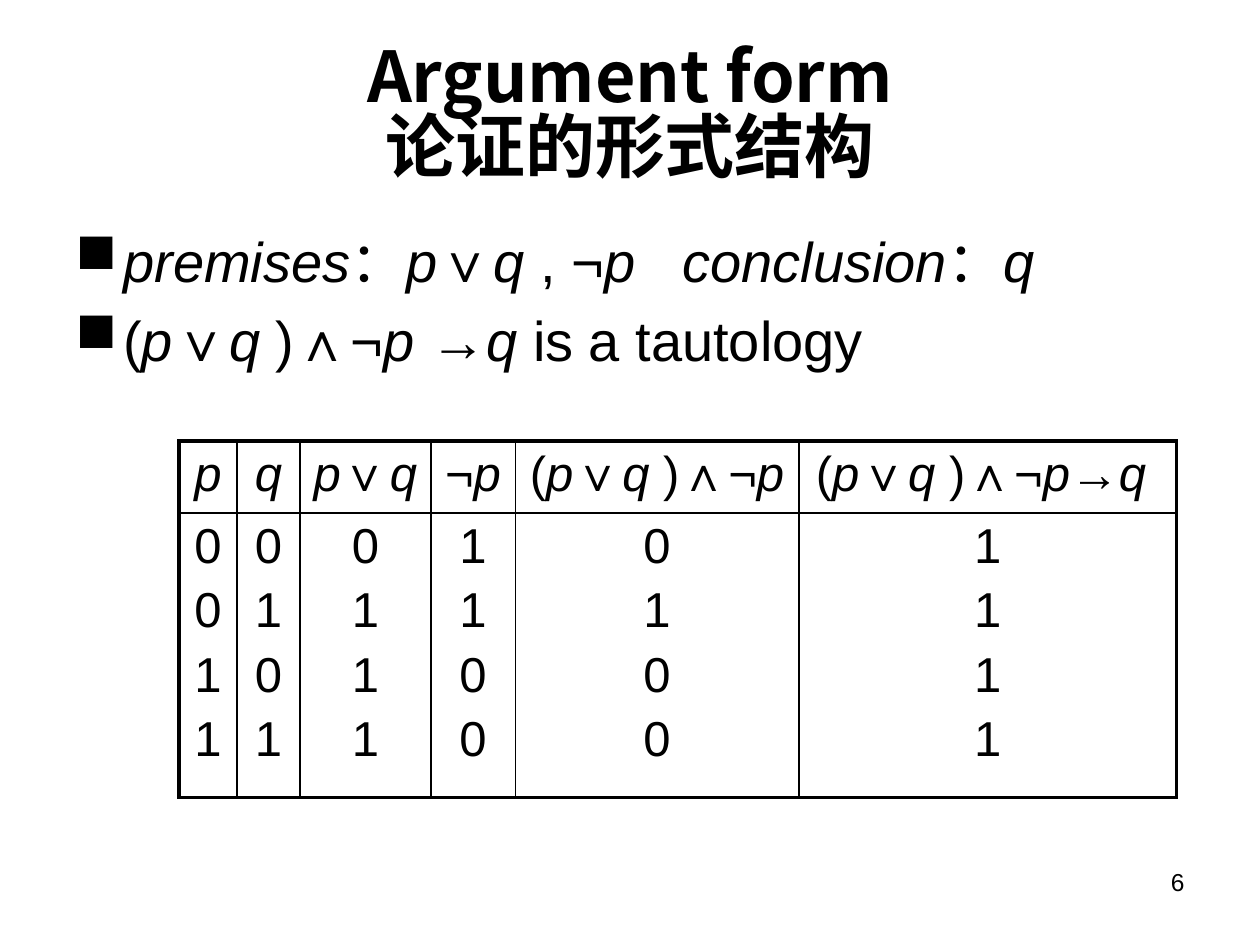
from lxml import etree
from pptx import Presentation
from pptx.dml.color import RGBColor
from pptx.enum.text import MSO_ANCHOR, PP_ALIGN
from pptx.oxml.ns import qn
from pptx.util import Inches, Pt

LEFT, CENTER, RIGHT = PP_ALIGN.LEFT, PP_ALIGN.CENTER, PP_ALIGN.RIGHT
TOP, MIDDLE = MSO_ANCHOR.TOP, MSO_ANCHOR.MIDDLE
TITLE_ONLY = 5
COLORS = {"text": "000000", "line": "000000"}
LATIN_FONT, CHINESE_FONT = "Arial", "Noto Sans CJK SC"
THIN, THICK = 1, 2.25

# Content: text between asterisks is italic
TITLE = "Argument form\v论证的形式结构"
STATEMENTS = [
    "*premises*：*p*∨*q *, ¬*p   conclusion*：*q*",
    "(*p*∨*q *)∧¬*p *→*q *is a tautology",
]
TRUTH_TABLE = [  # heading, column width, values
    ("*p*", 0.46, "0011"),
    ("*q*", 0.5, "0101"),
    ("*p*∨*q*", 1.04, "0111"),
    ("¬*p*", 0.67, "1100"),
    ("(*p*∨*q *)∧¬*p*", 2.25, "0100"),
    ("(*p*∨*q *)∧¬*p*→*q *", 3, "1111"),
]
ROW_HEIGHTS = [0.57, 2.26]
PAGE_NUMBER = "6"


def add_bullet(paragraph, character, indent):
    properties = paragraph._p.get_or_add_pPr()
    properties.set("marL", str(Inches(indent)))
    properties.set("indent", str(-Inches(indent)))
    bullet = etree.SubElement(properties, qn("a:buChar"))
    bullet.set("char", character)


def write_text(frame, lines, size, font=LATIN_FONT, bold=False, align=LEFT,
               anchor=TOP, bullet=None, line_spacing=None):
    frame.word_wrap = True
    frame.vertical_anchor = anchor
    for number, line in enumerate(lines):
        paragraph = frame.add_paragraph() if number else frame.paragraphs[0]
        paragraph.alignment = align
        paragraph.line_spacing = line_spacing
        paragraph.space_before = Pt(0.2 * size if number else 0)
        if bullet:
            add_bullet(paragraph, bullet, 0.38)
        for position, part in enumerate(line.split("*")):
            for row, words in enumerate(part.split("\v")):
                if row:
                    paragraph.add_line_break()
                if not words:
                    continue
                run = paragraph.add_run()
                run.text = words
                run.font.size = Pt(size)
                run.font.name = font
                run.font.bold = bold
                run.font.italic = position % 2 == 1
                run.font.color.rgb = RGBColor.from_string(COLORS["text"])
                east_asian = etree.Element(qn("a:ea"), typeface=CHINESE_FONT)
                run.font._element.find(qn("a:latin")).addnext(east_asian)


def add_text_box(slide, left, top, width, height, lines, size, **style):
    box = slide.shapes.add_textbox(Inches(left), Inches(top), Inches(width), Inches(height))
    write_text(box.text_frame, lines, size, **style)


def set_borders(cell, widths):
    properties = cell._tc.get_or_add_tcPr()
    for index, (side, width) in enumerate(widths.items()):
        line = etree.Element(qn(f"a:ln{side}"), w=str(Pt(width)))
        fill = etree.SubElement(line, qn("a:solidFill"))
        etree.SubElement(fill, qn("a:srgbClr"), val=COLORS["line"])
        properties.insert(index, line)


def add_truth_table(slide, left, top):
    column_count = len(TRUTH_TABLE)
    width = sum(column[1] for column in TRUTH_TABLE)
    frame = slide.shapes.add_table(len(ROW_HEIGHTS), column_count, Inches(left), Inches(top),
                                   Inches(width), Inches(sum(ROW_HEIGHTS)))
    table = frame.table
    table.first_row = table.horz_banding = False
    for row, height in zip(table.rows, ROW_HEIGHTS):
        row.height = Inches(height)
    for column, (heading, column_width, values) in enumerate(TRUTH_TABLE):
        table.columns[column].width = Inches(column_width)
        for row, lines in enumerate([[heading], list(values)]):
            cell = table.cell(row, column)
            cell.fill.background()
            write_text(cell.text_frame, lines, 28, align=CENTER)
            set_borders(cell, {
                "L": THICK if column == 0 else THIN,
                "R": THICK if column == column_count - 1 else THIN,
                "T": THICK if row == 0 else THIN,
                "B": THICK if row == len(ROW_HEIGHTS) - 1 else THIN,
            })


def main():
    presentation = Presentation()
    presentation.slide_width, presentation.slide_height = Inches(10), Inches(7.5)
    slide = presentation.slides.add_slide(presentation.slide_layouts[TITLE_ONLY])

    # Title
    title = slide.shapes.title
    title.left, title.top = Inches(0.5), Inches(0.3)
    title.width, title.height = Inches(9), Inches(1.25)
    write_text(title.text_frame, [TITLE], 40, font=CHINESE_FONT, bold=True,
               align=CENTER, anchor=MIDDLE, line_spacing=0.84)

    # Statements, truth table and page number
    add_text_box(slide, 0.5, 1.75, 9, 4.95, STATEMENTS, 32, bullet="■")
    add_truth_table(slide, 1.42, 3.5)
    add_text_box(slide, 7.17, 6.83, 2.33, 0.52, [PAGE_NUMBER], 14, align=RIGHT)

    presentation.save("out.pptx")


if __name__ == "__main__":
    main()
